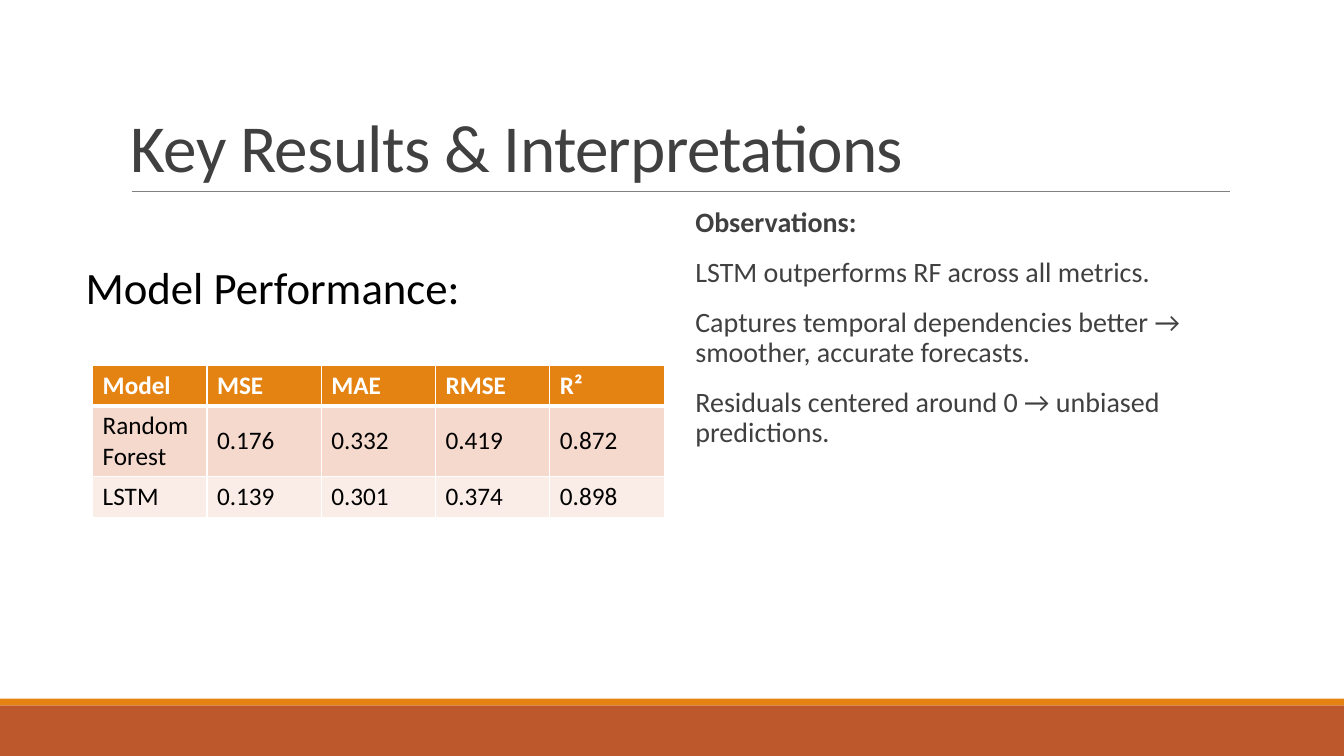
import pptx
import pptx.dml.color
import pptx.enum.shapes
import pptx.enum.text
import pptx.oxml.ns
import pptx.util
from lxml import etree

Pt = pptx.util.Pt
RGB = pptx.dml.color.RGBColor
ANCHOR = pptx.enum.text.MSO_ANCHOR
qn = pptx.oxml.ns.qn

WIDTH, HEIGHT = 960, 540
FONT = "Calibri"
WHITE = RGB(0xFF, 0xFF, 0xFF)
BLACK = RGB(0, 0, 0)
DARK_GREY = RGB(0x40, 0x40, 0x40)
RULE_GREY = RGB(0x80, 0x80, 0x80)
RUST = RGB(0xBD, 0x58, 0x2C)
ORANGE = RGB(0xE4, 0x83, 0x12)
ROW_FILLS = [ORANGE, RGB(0xF5, 0xD9, 0xCC), RGB(0xFA, 0xED, 0xE7)]

RESULTS = [
    ["Model", "MSE", "MAE", "RMSE", "R²"],
    ["Random Forest", "0.176", "0.332", "0.419", "0.872"],
    ["LSTM", "0.139", "0.301", "0.374", "0.898"],
]
ROW_HEIGHTS = [29.2, 50.3, 29.2]
OBSERVATIONS = [
    "Observations:",
    "LSTM outperforms RF across all metrics.",
    "Captures temporal dependencies better → smoother, accurate forecasts.",
    "Residuals centered around 0 → unbiased predictions.",
]


def write(paragraph, text, size=18, color=BLACK, bold=False, tracking=None,
          line_spacing=None, before=None, after=None):
    run = paragraph.add_run()
    run.text = text
    run.font.name = FONT
    run.font.size = Pt(size)
    run.font.bold = bold
    run.font.color.rgb = color
    if tracking is not None:
        run.font._element.set("spc", str(round(tracking * 100)))
    if line_spacing is not None:
        paragraph.line_spacing = line_spacing
    if before is not None:
        paragraph.space_before = Pt(before)
    if after is not None:
        paragraph.space_after = Pt(after)


def add_frame(slide, left, top, width, height, wrap=True):
    frame = slide.shapes.add_textbox(Pt(left), Pt(top), Pt(width), Pt(height)).text_frame
    frame.word_wrap = wrap
    return frame


def add_band(slide, left, top, width, height, color):
    band = slide.shapes.add_shape(pptx.enum.shapes.MSO_SHAPE.RECTANGLE,
                                  Pt(left), Pt(top), Pt(width), Pt(height))
    band.shadow.inherit = False
    band.fill.solid()
    band.fill.fore_color.rgb = color
    band.line.fill.background()


def add_footer(slide, left, top, width, height):
    stripe = 4.8
    add_band(slide, left, top + stripe, width, height - stripe, RUST)
    add_band(slide, left, top, width, stripe, ORANGE)


def add_title(slide, left, top, width, height):
    """Place the heading at the bottom of its box, with a rule beneath it."""
    bottom = top + height
    rule = slide.shapes.add_connector(pptx.enum.shapes.MSO_CONNECTOR.STRAIGHT,
                                      Pt(left + 7.7), Pt(bottom), Pt(left + width + 0.5), Pt(bottom))
    rule.line.color.rgb = RULE_GREY
    rule.line.width = Pt(0.5)
    etree.SubElement(rule._element.spPr, qn("a:effectLst"))
    heading = add_frame(slide, left, top, width, height)
    heading.vertical_anchor = ANCHOR.BOTTOM
    write(heading.paragraphs[0], "Key Results & Interpretations", size=48,
          color=DARK_GREY, tracking=-0.5, line_spacing=0.85)


def set_borders(cell, widths):
    """Draw white borders; widths maps a side (L, R, T, B) to points."""
    properties = cell._tc.get_or_add_tcPr()
    for index, (side, width) in enumerate(widths.items()):
        line = etree.Element(qn(f"a:ln{side}"), w=str(Pt(width)))
        fill = etree.SubElement(line, qn("a:solidFill"))
        etree.SubElement(fill, qn("a:srgbClr"), val=str(WHITE))
        properties.insert(index, line)


def add_results_table(slide, left, top, width):
    table = slide.shapes.add_table(len(RESULTS), len(RESULTS[0]), Pt(left), Pt(top),
                                   Pt(width), Pt(sum(ROW_HEIGHTS))).table
    for column in table.columns:
        column.width = Pt(width / len(RESULTS[0]))
    for r, (values, height, fill) in enumerate(zip(RESULTS, ROW_HEIGHTS, ROW_FILLS)):
        table.rows[r].height = Pt(height)
        is_header = r == 0
        for c, value in enumerate(values):
            cell = table.cell(r, c)
            cell.fill.solid()
            cell.fill.fore_color.rgb = fill
            cell.vertical_anchor = ANCHOR.MIDDLE
            write(cell.text_frame.paragraphs[0], value, bold=is_header,
                  color=WHITE if is_header else BLACK)
            set_borders(cell, {"L": 1, "R": 1, "T": 3 if r == 1 else 1,
                               "B": 3 if is_header else 1})


def add_performance(slide, left, top, width):
    label = add_frame(slide, left, top, 284.4, 46, wrap=False)
    write(label.paragraphs[0], "Model Performance:", size=32)
    add_results_table(slide, left + 12.2, top + 78.5, width - 12.2)


def add_observations(slide, left, top, width, height):
    frame = add_frame(slide, left, top, width, height)
    frame.margin_left, frame.margin_right = Pt(7.2), 0
    for index, text in enumerate(OBSERVATIONS):
        paragraph = frame.add_paragraph() if index else frame.paragraphs[0]
        write(paragraph, text, size=20, color=DARK_GREY, bold=index == 0,
              line_spacing=0.9, before=12, after=2)


def main():
    deck = pptx.Presentation()
    deck.slide_width, deck.slide_height = Pt(WIDTH), Pt(HEIGHT)
    slide = deck.slides.add_slide(deck.slide_layouts[6])
    add_footer(slide, 0, 499, WIDTH, HEIGHT - 499)
    add_title(slide, 86.4, 22.6, 792, 114.2)
    add_performance(slide, 54, 182.2, 420.4)
    add_observations(slide, 489.6, 145.4, 388.8, 316.8)
    deck.save("out.pptx")


if __name__ == "__main__":
    main()
